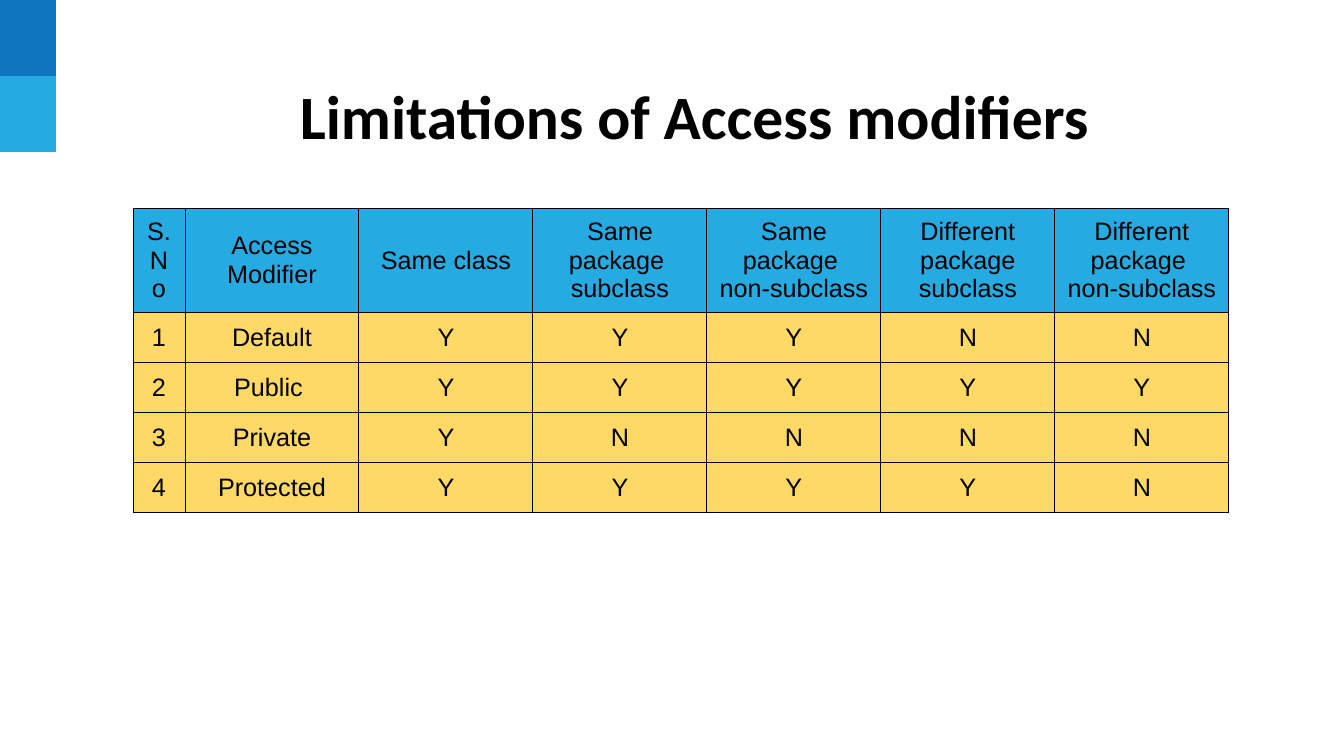
from lxml import etree
from pptx import Presentation
from pptx.dml.color import RGBColor
from pptx.enum.shapes import MSO_SHAPE
from pptx.enum.text import MSO_ANCHOR, MSO_AUTO_SIZE, PP_ALIGN
from pptx.oxml.ns import qn
from pptx.util import Pt

RECTANGLE = MSO_SHAPE.RECTANGLE
MIDDLE = MSO_ANCHOR.MIDDLE
CENTER = PP_ALIGN.CENTER
NO_AUTOFIT = MSO_AUTO_SIZE.NONE

SLIDE_W, SLIDE_H = 1344, 756
EMU_PER_PX = 12192000 / SLIDE_W
COLORS = {
    "text": "000000",
    "border": "000000",
    "dark_blue": "0F75BD",
    "light_blue": "25AAE2",
    "yellow": "FFD966",
}
BORDER_PT = 0.75
CELL_MARGIN = 10
NUMBER_COL_W, COL_W = 52, 174
HEADER_H, ROW_H = 91, 50

HEADERS = [
    "S. No", "Access Modifier", "Same class", "Same package  subclass",
    "Same package  non-subclass", "Different package subclass",
    "Different package  non-subclass",
]
ACCESS = [
    ("Default", "YYYNN"),
    ("Public ", "YYYYY"),
    ("Private", "YNNNN"),
    ("Protected", "YYYYN"),
]


def px(length):
    return round(length * EMU_PER_PX)


def add_centered_run(frame, text, font_name, size, bold=False):
    paragraph = frame.paragraphs[0]
    paragraph.alignment = CENTER
    run = paragraph.add_run()
    run.text = text
    run.font.name = font_name
    run.font.size = Pt(size)
    run.font.bold = bold
    run.font.color.rgb = RGBColor.from_string(COLORS["text"])


prs = Presentation()
prs.slide_width, prs.slide_height = px(SLIDE_W), px(SLIDE_H)
slide = prs.slides.add_slide(prs.slide_layouts[5])

# Corner blocks
for index, color in enumerate(("dark_blue", "light_blue")):
    block = slide.shapes.add_shape(RECTANGLE, 0, px(index * 76), px(56), px(76))
    block.shadow.inherit = False
    block.fill.solid()
    block.fill.fore_color.rgb = RGBColor.from_string(COLORS[color])
    block.line.fill.background()

# Title
title = slide.shapes.title
title.left, title.top, title.width, title.height = px(254), px(69), px(882), px(91)
title.text_frame.auto_size = NO_AUTOFIT
title.text_frame.word_wrap = True
title.text_frame.vertical_anchor = MIDDLE
add_centered_run(title.text_frame, "Limitations of Access modifiers", "Calibri", 44, bold=True)

# Access table
rows = [HEADERS]
for number, (modifier, flags) in enumerate(ACCESS, start=1):
    rows.append([str(number), modifier, *flags])

col_widths = [NUMBER_COL_W] + [COL_W] * (len(HEADERS) - 1)
row_heights = [HEADER_H] + [ROW_H] * len(ACCESS)
access_table = slide.shapes.add_table(
    len(rows), len(HEADERS), px(133), px(208), px(sum(col_widths)), px(sum(row_heights))
).table
for column, width in zip(access_table.columns, col_widths):
    column.width = px(width)

for row_index, (row, height) in enumerate(zip(rows, row_heights)):
    access_table.rows[row_index].height = px(height)
    fill_color = COLORS["yellow" if row_index else "light_blue"]
    for col_index, text in enumerate(row):
        cell = access_table.cell(row_index, col_index)
        cell.vertical_anchor = MIDDLE
        cell.margin_left = cell.margin_right = px(CELL_MARGIN)
        cell.margin_top = cell.margin_bottom = px(CELL_MARGIN)
        add_centered_run(cell.text_frame, text, "Arial", 18)

        # Borders must precede the fill in the cell properties
        properties = cell._tc.get_or_add_tcPr()
        for side in ("a:lnL", "a:lnR", "a:lnT", "a:lnB"):
            border = etree.SubElement(properties, qn(side), w=str(Pt(BORDER_PT)))
            border_fill = etree.SubElement(border, qn("a:solidFill"))
            etree.SubElement(border_fill, qn("a:srgbClr"), val=COLORS["border"])
        cell.fill.solid()
        cell.fill.fore_color.rgb = RGBColor.from_string(fill_color)

prs.save("out.pptx")
